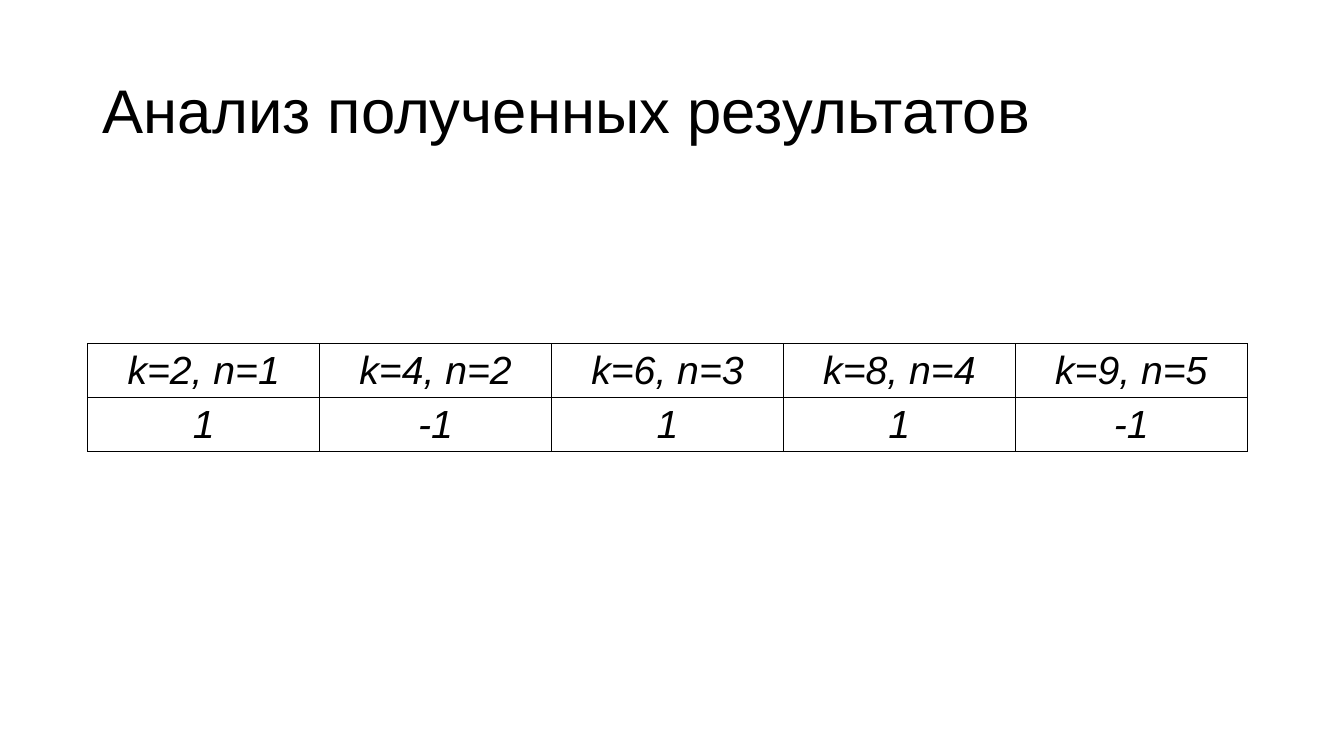
from pptx import Presentation, util as u
from pptx.dml.color import RGBColor
from pptx.enum import text
from pptx.oxml import parse_xml
from pptx.oxml.ns import nsdecls

COLORS = {"ink": "000000", "paper": "FFFFFF"}
RESULTS = [
    ("k=2, n=1", "1"),
    ("k=4, n=2", "-1"),
    ("k=6, n=3", "1"),
    ("k=8, n=4", "1"),
    ("k=9, n=5", "-1"),
]


class SlideBuilder:
    """Holds the style and the current slide."""

    font_name = "Arial"

    def __init__(self, slide):
        """Take the slide and give it a plain background."""
        self.slide = slide
        fill = slide.background.fill
        fill.solid()
        fill.fore_color.rgb = RGBColor.from_string(COLORS["paper"])

    def style(self, paragraph, size, alignment, italic=False):
        """Set the font and alignment of a paragraph."""
        paragraph.alignment = alignment
        font = paragraph.font
        font.name = self.font_name
        font.size = u.Pt(size)
        font.italic = italic
        font.color.rgb = RGBColor.from_string(COLORS["ink"])

    def title(self, words, left, top, width, height):
        """Fill and place the title placeholder."""
        shape = self.slide.shapes.title
        shape.left, shape.top = u.Inches(left), u.Inches(top)
        shape.width, shape.height = u.Inches(width), u.Inches(height)
        frame = shape.text_frame
        frame.text = words
        frame.word_wrap = True
        frame.auto_size = text.MSO_AUTO_SIZE.NONE
        frame.vertical_anchor = text.MSO_ANCHOR.MIDDLE
        paragraph = frame.paragraphs[0]
        paragraph.line_spacing = 0.9
        self.style(paragraph, 44, text.PP_ALIGN.LEFT)

    def border(self, cell, width=1):
        """Draw a line on all four sides of a cell."""
        properties = cell._tc.get_or_add_tcPr()
        for index, side in enumerate(("lnL", "lnR", "lnT", "lnB")):
            line = parse_xml(
                f'<a:{side} {nsdecls("a")} w="{u.Pt(width)}"><a:solidFill>'
                f'<a:srgbClr val="{COLORS["ink"]}"/></a:solidFill></a:{side}>'
            )
            properties.insert(index, line)

    def table(self, rows, left, top, column_width, row_height):
        """Add a bordered table of centred italic text."""
        row_count, column_count = len(rows), len(rows[0])
        table = self.slide.shapes.add_table(
            row_count, column_count, u.Inches(left), u.Inches(top),
            u.Inches(column_width * column_count),
            u.Inches(row_height * row_count),
        ).table
        table.horz_banding = False
        table.first_row = False
        for row, values in zip(table.rows, rows):
            for cell, value in zip(row.cells, values):
                cell.text = value
                cell.fill.background()
                self.border(cell)
                self.style(cell.text_frame.paragraphs[0], 28,
                           text.PP_ALIGN.CENTER, italic=True)


presentation = Presentation()
presentation.slide_width = u.Inches(13.33)
presentation.slide_height = u.Inches(7.5)
title_only = presentation.slide_layouts[5]
builder = SlideBuilder(presentation.slides.add_slide(title_only))
builder.title("Анализ полученных результатов", 0.92, 0.4, 11.5, 1.45)
builder.table(list(zip(*RESULTS)), 0.87, 3.41, 2.3, 0.41)
presentation.save("out.pptx")
